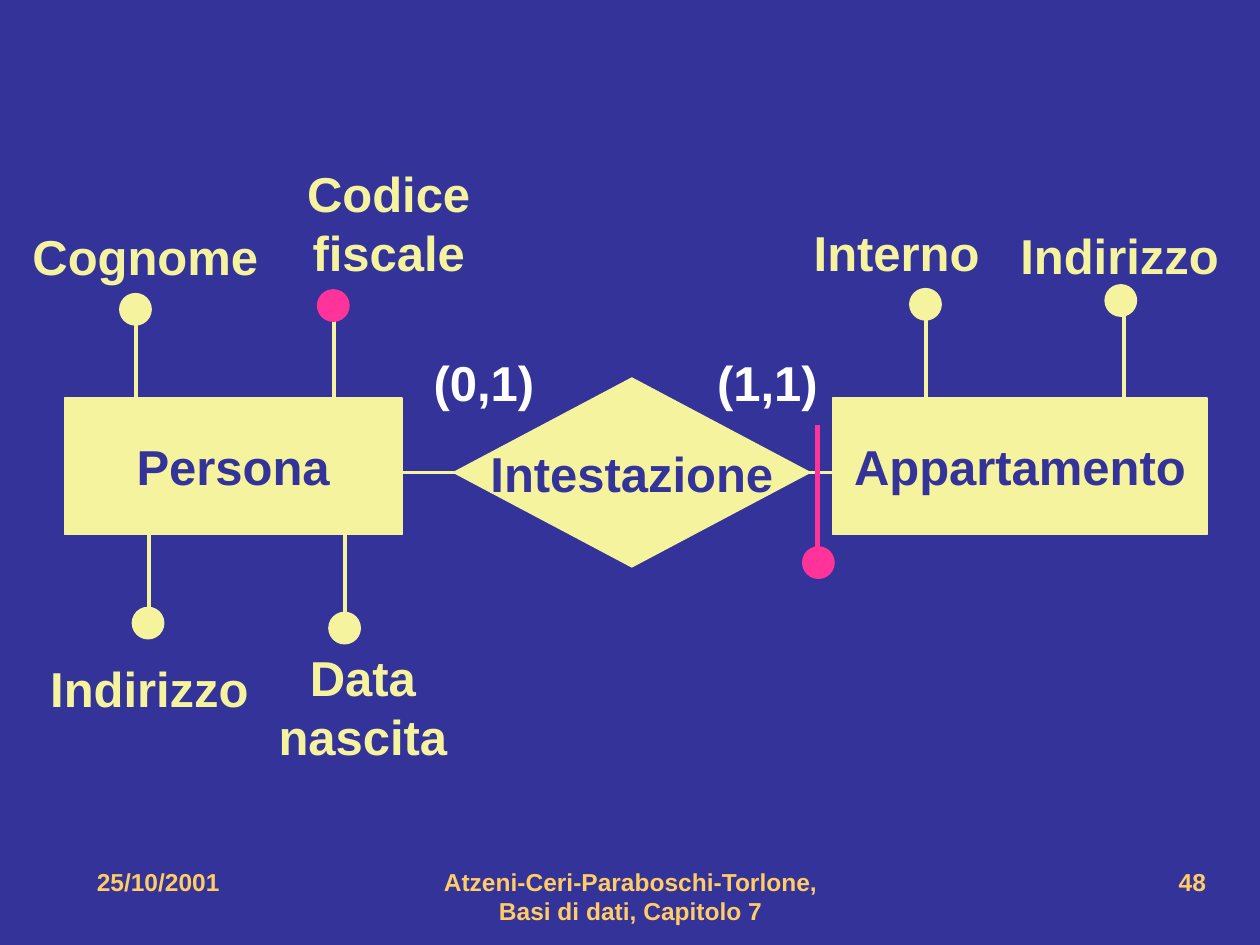
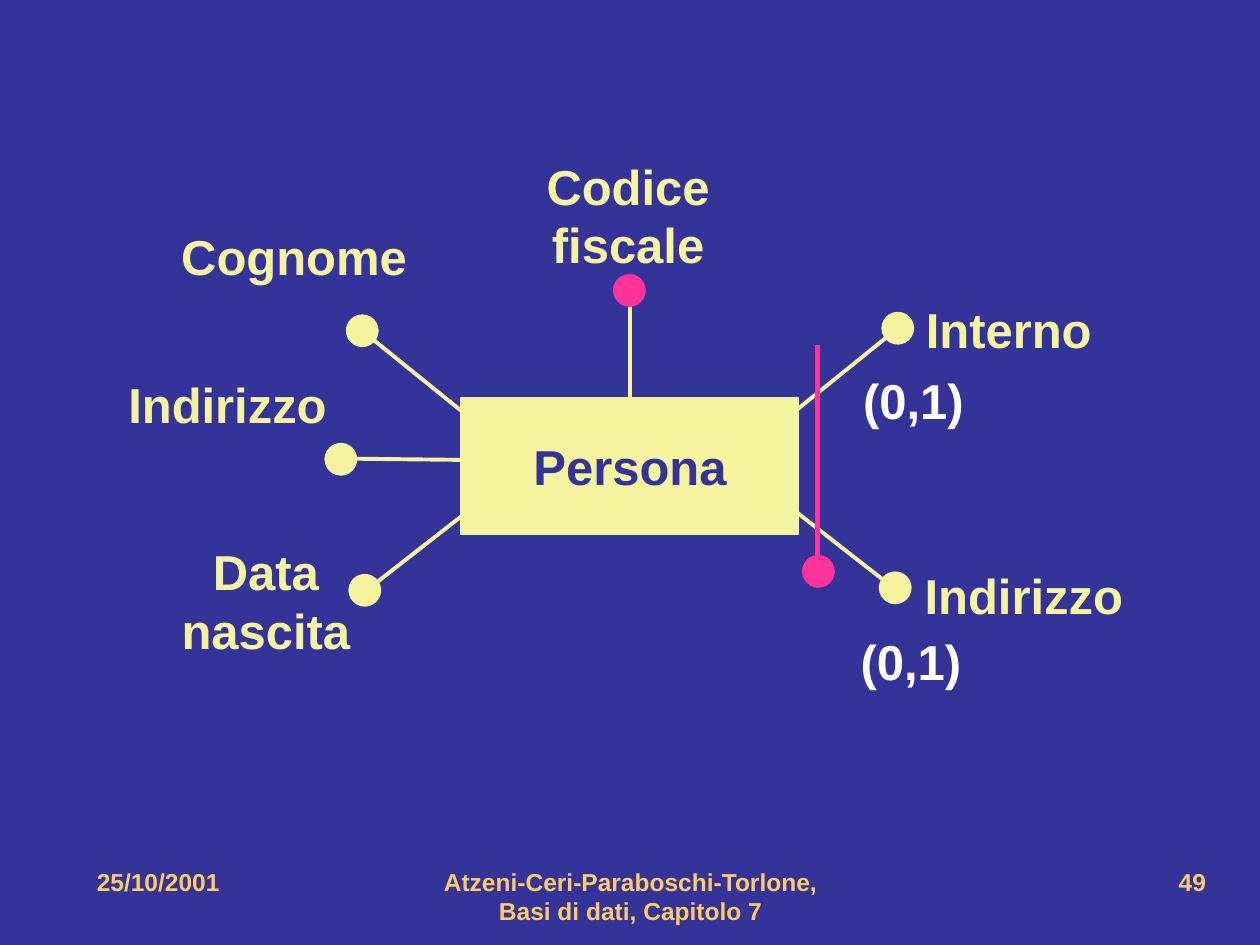
from dataclasses import dataclass
from typing import Optional

from lxml import etree
from pptx import Presentation
from pptx import util as u
from pptx.dml.color import RGBColor
from pptx.enum import shapes, text
from pptx.oxml.ns import qn

Point = tuple[float, float]
LEFT, CENTER, RIGHT = text.PP_ALIGN.LEFT, text.PP_ALIGN.CENTER, text.PP_ALIGN.RIGHT


@dataclass(frozen=True)
class Theme:
    background: str = "333399"
    diagram: str = "F5F39D"
    identifier: str = "FF3399"
    cardinality: str = "FFFFFF"
    footer: str = "FFCC66"
    font: str = "Arial"
    label_size: float = 28
    footer_size: float = 14
    outline: float = 0.75
    stem: float = 2.25
    identifier_line: float = 3


@dataclass(frozen=True)
class Node:
    name: str
    left: float
    top: float
    width: float
    height: float = 1.08
    preset: shapes.MSO_SHAPE = shapes.MSO_SHAPE.RECTANGLE


@dataclass(frozen=True)
class Attribute:
    name: str
    label: Point
    dot: Point
    stem_start: Point
    stem_end: Point
    color: str = Theme.diagram
    joined_to: Optional[str] = None


@dataclass(frozen=True)
class Cardinality:
    value: str
    position: Point


@dataclass(frozen=True)
class Identifier:
    start: Point
    end: Point
    dot: Point


@dataclass(frozen=True)
class Diagram:
    page: str
    nodes: list[Node]
    attributes: list[Attribute]
    cardinalities: list[Cardinality]
    identifier: Identifier
    link: Optional[tuple[Point, Point]] = None


@dataclass(frozen=True)
class FooterPart:
    left: float
    width: float
    align: text.PP_ALIGN
    words: Optional[str] = None


THEME = Theme()
DOT_SIZE = 0.25
LINE_HEIGHT = 0.47
LABEL_WIDTHS = {"Indirizzo": 1.82, "Interno": 1.56, "Cognome": 2.04,
                "Data\nnascita": 1.54, "Codice\nfiscale": 1.55}
FOOTER = [
    FooterPart(0.67, 2.17, LEFT, "25/10/2001"),
    FooterPart(3.42, 3.17, CENTER, "Atzeni-Ceri-Paraboschi-Torlone, Basi di dati, Capitolo 7"),
    FooterPart(7.17, 2.5, RIGHT),
]


def upright(name: str, label: Point, dot: Point, x: float, y: float,
            rise: float = 0.75, color: str = THEME.diagram,
            joined_to: Optional[str] = None) -> Attribute:
    return Attribute(name, label, dot, (x, y), (x, y + rise), color, joined_to)


DIAGRAMS = [
    Diagram(
        "48",
        [Node("Intestazione", 3.6, 3, 2.83, 1.5, shapes.MSO_SHAPE.DIAMOND),
         Node("Persona", 0.51, 3.16, 2.68),
         Node("Appartamento", 6.61, 3.16, 2.97)],
        [upright("Indirizzo", (8, 1.74), (8.77, 2.26), 8.92, 2.49),
         upright("Interno", (6.36, 1.72), (7.22, 2.29), 7.35, 2.53),
         upright("Cognome", (0.16, 1.75), (0.95, 2.33), 1.08, 2.57),
         upright("Indirizzo", (0.3, 5.18), (1.05, 4.82), 1.18, 4.83, -0.75),
         upright("Data\nnascita", (2.11, 5.09), (2.61, 4.86), 2.74, 4.87, -0.75),
         upright("Codice\nfiscale", (2.31, 1.25), (2.52, 2.3), 2.65, 2.53,
                 color=THEME.identifier)],
        [Cardinality("(0,1)", (3.34, 2.75)), Cardinality("(1,1)", (5.59, 2.75))],
        Identifier((6.49, 3.37), (6.49, 4.46), (6.37, 4.34)),
        ((2.85, 3.75), (6.93, 3.75)),
    ),
    Diagram(
        "49",
        [Node("Persona", 3.66, 3.16, 2.68)],
        [Attribute("Interno", (7.25, 2.33), (7, 2.48), (7.07, 2.65), (6.29, 3.28)),
         Attribute("Indirizzo", (7.24, 4.44), (6.98, 4.54), (7.02, 4.61), (6.29, 4.04)),
         Attribute("Cognome", (1.34, 1.75), (2.75, 2.5), (2.93, 2.67), (3.71, 3.3)),
         Attribute("Indirizzo", (0.92, 2.92), (2.58, 3.52), (2.75, 3.64), (3.67, 3.65)),
         Attribute("Data\nnascita", (1.34, 4.25), (2.77, 4.56), (2.98, 4.63), (3.71, 4.06)),
         upright("Codice\nfiscale", (4.21, 1.19), (4.87, 2.18), 5, 2.42,
                 color=THEME.identifier, joined_to="Persona")],
        [Cardinality("(0,1)", (6.75, 2.89)), Cardinality("(0,1)", (6.73, 4.96))],
        Identifier((6.49, 2.74), (6.49, 4.46), (6.37, 4.41)),
    ),
]


def write(frame, words: str, color: str, size: float, align: text.PP_ALIGN) -> None:
    for index, line in enumerate(words.split("\n")):
        paragraph = frame.paragraphs[0] if index == 0 else frame.add_paragraph()
        paragraph.alignment = align
        run = paragraph.add_run()
        run.text = line
        run.font.name = THEME.font
        run.font.size = u.Pt(size)
        run.font.bold = True
        run.font.color.rgb = RGBColor.from_string(color)


def add_label(slide, words: str, position: Point, width: float,
              color: str, align: text.PP_ALIGN) -> None:
    height = 0.1 + LINE_HEIGHT * len(words.split("\n"))
    box = slide.shapes.add_textbox(*map(u.Inches, (*position, width, height)))
    box.text_frame.word_wrap = False
    box.text_frame.auto_size = text.MSO_AUTO_SIZE.SHAPE_TO_FIT_TEXT
    write(box.text_frame, words, color, THEME.label_size, align)


def add_solid(slide, preset: shapes.MSO_SHAPE, bounds: tuple[float, ...], color: str):
    shape = slide.shapes.add_shape(preset, *map(u.Inches, bounds))
    shape.shadow.inherit = False
    shape.fill.solid()
    shape.fill.fore_color.rgb = RGBColor.from_string(color)
    shape.line.color.rgb = RGBColor.from_string(color)
    shape.line.width = u.Pt(THEME.outline)
    return shape


def add_dot(slide, position: Point, color: str) -> None:
    add_solid(slide, shapes.MSO_SHAPE.OVAL, (*position, DOT_SIZE, DOT_SIZE), color)


def add_node(slide, node: Node):
    shape = add_solid(slide, node.preset,
                      (node.left, node.top, node.width, node.height), THEME.diagram)
    frame = shape.text_frame
    frame.word_wrap = False
    frame.vertical_anchor = text.MSO_ANCHOR.MIDDLE
    write(frame, node.name, THEME.background, THEME.label_size, CENTER)
    return shape


def add_line(slide, start: Point, end: Point, color: str, width: float):
    connector = slide.shapes.add_connector(
        shapes.MSO_CONNECTOR.STRAIGHT, *map(u.Inches, (*start, *end)))
    connector.line.color.rgb = RGBColor.from_string(color)
    connector.line.width = u.Pt(width)
    etree.SubElement(connector._element.spPr, qn("a:effectLst"))
    return connector


def add_attribute(slide, attribute: Attribute, nodes: dict) -> None:
    stem = add_line(slide, attribute.stem_start, attribute.stem_end,
                    THEME.diagram, THEME.stem)
    if attribute.joined_to:
        stem.end_connect(nodes[attribute.joined_to], 0)
    add_dot(slide, attribute.dot, attribute.color)
    align = CENTER if "\n" in attribute.name else LEFT
    add_label(slide, attribute.name, attribute.label, LABEL_WIDTHS[attribute.name],
              THEME.diagram, align)


def add_footer(slide, page: str) -> None:
    for part in FOOTER:
        box = slide.shapes.add_textbox(*map(u.Inches, (part.left, 6.83, part.width, 0.5)))
        box.text_frame.word_wrap = True
        write(box.text_frame, part.words or page, THEME.footer, THEME.footer_size, part.align)


def add_diagram(presentation, diagram: Diagram) -> None:
    slide = presentation.slides.add_slide(presentation.slide_layouts[6])
    if diagram.link:
        add_line(slide, *diagram.link, THEME.diagram, THEME.stem)
    nodes = {node.name: add_node(slide, node) for node in diagram.nodes}
    for attribute in diagram.attributes:
        add_attribute(slide, attribute, nodes)
    identifier = diagram.identifier
    add_dot(slide, identifier.dot, THEME.identifier)
    add_line(slide, identifier.start, identifier.end,
             THEME.identifier, THEME.identifier_line)
    for cardinality in diagram.cardinalities:
        add_label(slide, cardinality.value, cardinality.position, 1,
                  THEME.cardinality, CENTER)
    add_footer(slide, diagram.page)


def main() -> None:
    presentation = Presentation()
    presentation.slide_width = u.Inches(10)
    presentation.slide_height = u.Inches(7.5)
    background = presentation.slide_master.background.fill
    background.solid()
    background.fore_color.rgb = RGBColor.from_string(THEME.background)
    for diagram in DIAGRAMS:
        add_diagram(presentation, diagram)
    presentation.save("out.pptx")


if __name__ == "__main__":
    main()
